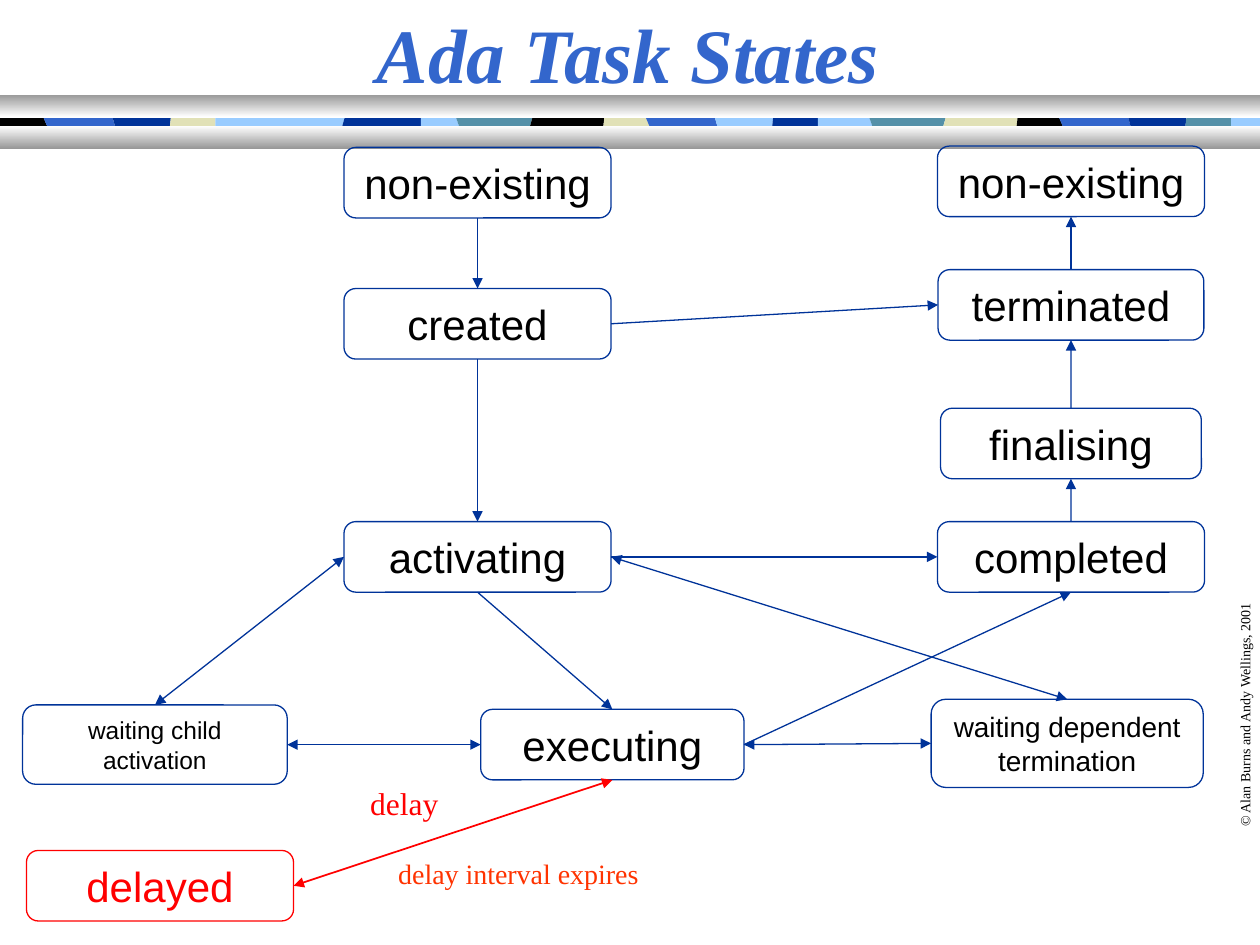
from itertools import pairwise

from lxml.etree import SubElement
from pptx import Presentation
from pptx.dml.color import RGBColor
from pptx.enum.shapes import MSO_CONNECTOR, MSO_SHAPE
from pptx.enum.text import MSO_ANCHOR, PP_ALIGN
from pptx.oxml.ns import qn
from pptx.util import Inches, Pt

COLORS = {
    "black": "000000", "white": "FFFFFF", "grey": "989898", "blue": "3366CC",
    "navy": "003399", "sky": "99CCFF", "teal": "5490A8", "sand": "E1E1B7",
    "red": "FF0000", "orange": "FF3300",
}
SERIF, SANS = "Times New Roman", "Arial"
WIDTH, HEIGHT = 10, 7.5

# Ribbon pieces from left to right: colour, right edge at mid height, lean of that edge
RIBBON_TOP, RIBBON_BOTTOM = 0.85, 1.13
RIBBON = [
    ("black", 0.37, 0.12), ("blue", 0.91, 0.08), ("navy", 1.35, -0.03), ("sand", 1.71, 0),
    ("sky", 2.72, -0.08), ("navy", 3.34, 0), ("sky", 3.64, 0.1), ("teal", 4.21, -0.08),
    ("black", 4.79, -0.03), ("sand", 5.15, 0.12), ("blue", 5.69, 0.08), ("sky", 6.13, -0.03),
    ("navy", 6.49, 0), ("sky", 6.92, 0.1), ("teal", 7.49, -0.08), ("sand", 8.07, -0.03),
    ("black", 8.43, 0.12), ("blue", 8.97, 0.08), ("navy", 9.41, -0.03), ("teal", 9.77, 0),
    ("sky", WIDTH, 0),
]
BARS = [(0.75, "grey", "white"), (1, "white", "grey")]
BAR_HEIGHT = 0.18

# State: label, centre x, centre y, width, height, text size, colour
LEFT, MIDDLE, RIGHT = 3.79, 4.86, 8.5
STATES = {
    "unborn": ("non-existing", LEFT, 1.45, 2.12, 0.56, 24, "black"),
    "created": ("created", LEFT, 2.57, 2.12, 0.56, 24, "black"),
    "activating": ("activating", LEFT, 4.42, 2.12, 0.56, 24, "black"),
    "executing": ("executing", MIDDLE, 5.91, 2.09, 0.56, 24, "black"),
    "gone": ("non-existing", RIGHT, 1.44, 2.12, 0.56, 24, "black"),
    "terminated": ("terminated", RIGHT, 2.42, 2.11, 0.56, 24, "black"),
    "finalising": ("finalising", RIGHT, 3.52, 2.07, 0.56, 24, "black"),
    "completed": ("completed", RIGHT, 4.42, 2.12, 0.56, 24, "black"),
    "child": ("waiting child activation", 1.23, 5.91, 2.1, 0.63, 14, "black"),
    "dependent": ("waiting dependent termination", 8.47, 5.9, 2.16, 0.7, 16, "black"),
    "delayed": ("delayed", 1.27, 7.03, 2.12, 0.56, 24, "red"),
}
# Transition: from state, side, to state, side, both ends have arrowheads
SITES = {"top": 0, "left": 1, "bottom": 2, "right": 3}
TRANSITIONS = [
    ("unborn", "bottom", "created", "top", False),
    ("created", "bottom", "activating", "top", False),
    ("created", "right", "terminated", "left", False),
    ("activating", "right", "completed", "left", False),
    ("activating", "bottom", "executing", "top", False),
    ("executing", "right", "completed", "bottom", False),
    ("completed", "top", "finalising", "bottom", False),
    ("finalising", "top", "terminated", "bottom", False),
    ("terminated", "top", "gone", "bottom", False),
    ("child", "top", "activating", "left", True),
    ("child", "right", "executing", "left", True),
    ("executing", "right", "dependent", "left", True),
    ("activating", "right", "dependent", "top", True),
    ("delayed", "right", "executing", "bottom", True),
]
# Text: words, left, top, width, height, size, colour, alignment, wrap
TITLE = ("Ada Task States", 0, 0, 9.97, 0.83, 44, "blue", PP_ALIGN.CENTER, True)
CREDIT = ("© Alan Burns and Andy Wellings, 2001", 8.88, 5.54, 2, 0.24, 8, "black",
          PP_ALIGN.LEFT, False)
NOTES = [
    ("delay", 2.84, 6.17, 0.74, 0.4, 18, "red", PP_ALIGN.LEFT, False),
    ("delay interval expires", 2.73, 6.75, 2.77, 0.37, 16, "orange", PP_ALIGN.CENTER, True),
]


def color(name):
    return RGBColor.from_string(COLORS[name])


def write(shape, words, size, ink, face, align=PP_ALIGN.CENTER, wrap=True):
    frame = shape.text_frame
    frame.word_wrap = wrap
    frame.vertical_anchor = MSO_ANCHOR.MIDDLE
    para = frame.paragraphs[0]
    para.text = words
    para.alignment = align
    para.font.size = Pt(size)
    para.font.name = face
    para.font.color.rgb = color(ink)
    return para


def add_text(page, words, left, top, width, height, size, ink, align, wrap):
    box = page.shapes.add_textbox(Inches(left), Inches(top), Inches(width), Inches(height))
    return box, write(box, words, size, ink, SERIF, align, wrap)


def add_ribbon(page):
    edges = [("", 0, 0), *RIBBON]
    for (_, left, left_lean), (name, right, right_lean) in pairwise_edges(edges):
        corners = [
            (left - left_lean / 2, RIBBON_TOP), (right - right_lean / 2, RIBBON_TOP),
            (right + right_lean / 2, RIBBON_BOTTOM), (left + left_lean / 2, RIBBON_BOTTOM),
        ]
        points = [(Inches(x), Inches(y)) for x, y in corners]
        builder = page.shapes.build_freeform(*points[0])
        builder.add_line_segments(points[1:], close=True)
        piece = builder.convert_to_shape()
        piece.shadow.inherit = False
        piece.fill.solid()
        piece.fill.fore_color.rgb = color(name)
        piece.line.fill.background()


def pairwise_edges(edges):
    """Yield each piece's left edge and its (colour, right edge, lean)."""
    for before, piece in pairwise(edges):
        yield before, piece


def add_bar(page, top, upper, lower):
    bar = page.shapes.add_shape(MSO_SHAPE.RECTANGLE, 0, Inches(top), Inches(WIDTH),
                                Inches(BAR_HEIGHT))
    bar.shadow.inherit = False
    bar.line.fill.background()
    bar.fill.gradient()
    bar.fill.gradient_angle = 270
    for stop, name in zip(bar.fill.gradient_stops, (upper, lower)):
        stop.color.rgb = color(name)


def add_state(page, label, center_x, center_y, width, height, size, ink):
    box = page.shapes.add_shape(
        MSO_SHAPE.ROUNDED_RECTANGLE, Inches(center_x - width / 2),
        Inches(center_y - height / 2), Inches(width), Inches(height))
    box.shadow.inherit = False
    box.fill.background()
    box.line.color.rgb = color("red" if ink == "red" else "navy")
    box.line.width = Pt(0.75)
    write(box, label, size, ink, SANS)
    return box


def add_transition(page, start, start_side, end, end_side, ink, weight, both):
    arrow = page.shapes.add_connector(MSO_CONNECTOR.STRAIGHT, 0, 0, 0, 0)
    arrow.begin_connect(start, SITES[start_side])
    arrow.end_connect(end, SITES[end_side])
    arrow.line.color.rgb = color(ink)
    arrow.line.width = Pt(weight)
    line = arrow.line._get_or_add_ln()
    for tag in ("a:headEnd", "a:tailEnd") if both else ("a:tailEnd",):
        SubElement(line, qn(tag), type="triangle")
    SubElement(arrow._element.spPr, qn("a:effectLst"))


def main():
    deck = Presentation()
    deck.slide_width, deck.slide_height = Inches(WIDTH), Inches(HEIGHT)
    page = deck.slides.add_slide(deck.slide_layouts[6])

    add_ribbon(page)
    for bar in BARS:
        add_bar(page, *bar)
    credit, _ = add_text(page, *CREDIT)
    credit.rotation = 270
    _, title = add_text(page, *TITLE)
    title.font.bold = title.font.italic = True

    boxes = {key: add_state(page, *state) for key, state in STATES.items()}
    for start, start_side, end, end_side, both in TRANSITIONS:
        ink, weight = ("red", 1) if start == "delayed" else ("navy", 0.75)
        add_transition(page, boxes[start], start_side, boxes[end], end_side, ink, weight, both)
    for note in NOTES:
        add_text(page, *note)
    deck.save("out.pptx")


if __name__ == "__main__":
    main()
